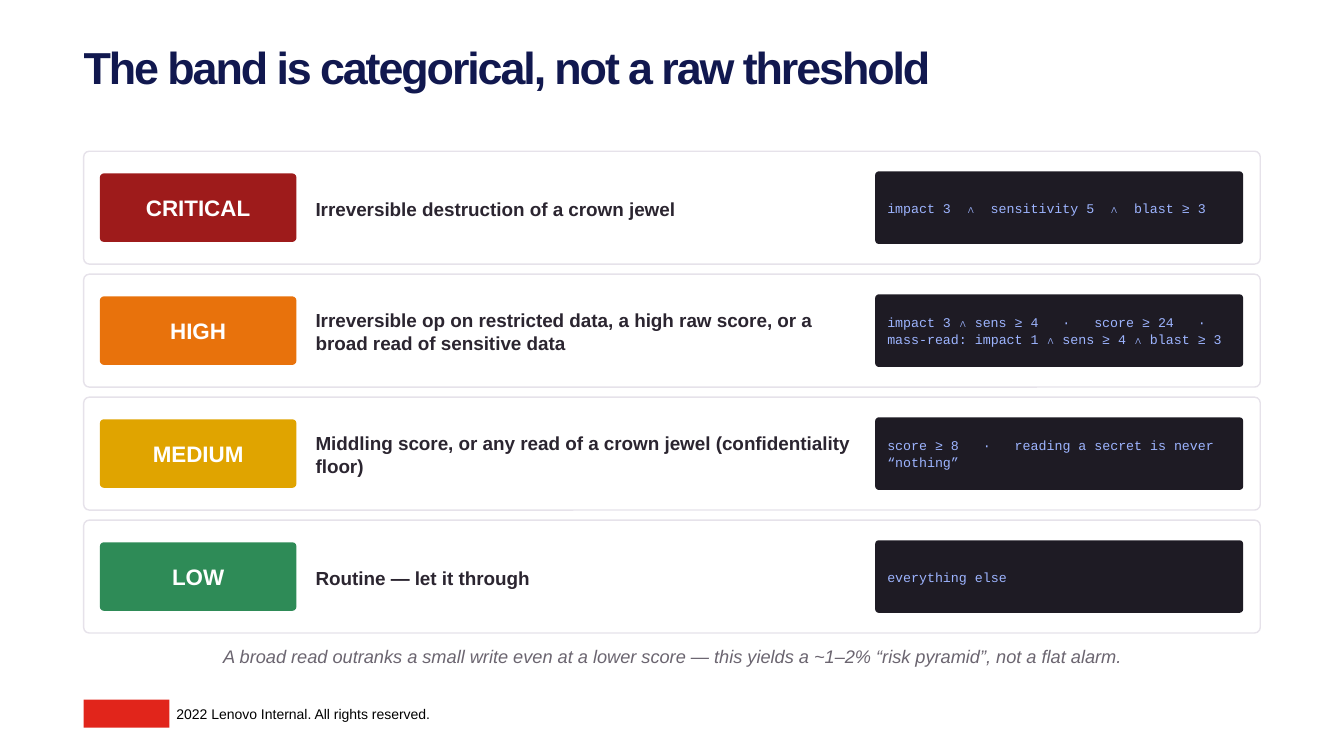
from dataclasses import dataclass

from pptx import Presentation
from pptx.dml.color import RGBColor
from pptx.enum.shapes import MSO_SHAPE
from pptx.enum.text import MSO_ANCHOR, MSO_AUTO_SIZE, PP_ALIGN
from pptx.util import Inches, Pt


@dataclass(frozen=True)
class Theme:
    sans: str = "Arial"
    mono: str = "Courier New"
    navy: str = "11184F"
    ink: str = "2B2530"
    muted: str = "6B6570"
    black: str = "000000"
    white: str = "FFFFFF"
    border: str = "E6E2EA"
    code_fill: str = "1E1B24"
    code_ink: str = "9DB4FF"
    critical: str = "9E1B1B"
    high: str = "E8720C"
    medium: str = "E0A400"
    low: str = "2E8B57"
    mark: str = "E1251B"
    title_size: float = 32
    badge_size: float = 16
    meaning_size: float = 13.5
    takeaway_size: float = 13
    copyright_size: float = 10
    code_size: float = 9.5


THEME = Theme()

BANDS = [
    ("CRITICAL", THEME.critical, "Irreversible destruction of a crown jewel",
     "impact 3  ∧  sensitivity 5  ∧  blast ≥ 3"),
    ("HIGH", THEME.high,
     "Irreversible op on restricted data, a high raw score, or a broad read of sensitive data",
     "impact 3 ∧ sens ≥ 4   ·   score ≥ 24   ·   mass-read: impact 1 ∧ sens ≥ 4 ∧ blast ≥ 3"),
    ("MEDIUM", THEME.medium,
     "Middling score, or any read of a crown jewel (confidentiality floor)",
     "score ≥ 8   ·   reading a secret is never “nothing”"),
    ("LOW", THEME.low, "Routine — let it through", "everything else"),
]


def write(holder, text, size, color, align=PP_ALIGN.LEFT, anchor=MSO_ANCHOR.TOP,
          margins=(0, 0), spacing=None, **font_format):
    frame = holder.text_frame
    frame_format = {
        "word_wrap": True, "auto_size": MSO_AUTO_SIZE.NONE, "vertical_anchor": anchor,
        "margin_left": Inches(margins[0]), "margin_right": Inches(margins[1]),
        "margin_top": 0, "margin_bottom": 0,
    }
    for name, value in frame_format.items():
        setattr(frame, name, value)
    paragraph = frame.paragraphs[0]
    paragraph.alignment = align
    if spacing:
        paragraph.line_spacing = spacing
    run = paragraph.add_run()
    run.text = text
    for name, value in {"name": THEME.sans, "size": Pt(size), **font_format}.items():
        setattr(run.font, name, value)
    run.font.color.rgb = RGBColor.from_string(color)
    return run


def add_text(slide, box, *content, **text_format):
    holder = slide.shapes.add_textbox(*map(Inches, box))
    write(holder, *content, **text_format)


def add_panel(slide, box, fill, corner=None, border=None):
    kind = MSO_SHAPE.RECTANGLE if corner is None else MSO_SHAPE.ROUNDED_RECTANGLE
    panel = slide.shapes.add_shape(kind, *map(Inches, box))
    panel.shadow.inherit = False
    if corner is not None:
        panel.adjustments[0] = corner
    panel.fill.solid()
    panel.fill.fore_color.rgb = RGBColor.from_string(fill)
    if border:
        panel.line.color.rgb = RGBColor.from_string(border)
        panel.line.width = Pt(1)
    else:
        panel.line.fill.background()
    return panel


def place_title(slide, box, text):
    title = slide.shapes.title
    for name, value in zip(("left", "top", "width", "height"), box):
        setattr(title, name, Inches(value))
    run = write(title, text, THEME.title_size, THEME.navy, spacing=0.85, bold=True)
    run.font._element.set("spc", "-150")


def add_band(slide, box, label, color, meaning, rule):
    left, top, width, height = box
    add_panel(slide, box, THEME.white, 0.05, THEME.border)
    badge = add_panel(slide, (left + 0.16, top + 0.22, 1.95, height - 0.44), color, 0.06)
    write(badge, label, THEME.badge_size, THEME.white,
          align=PP_ALIGN.CENTER, anchor=MSO_ANCHOR.MIDDLE, bold=True)
    add_text(slide, (left + 2.3, top + 0.16, 5.4, height - 0.3), meaning,
             THEME.meaning_size, THEME.ink, anchor=MSO_ANCHOR.MIDDLE, bold=True)
    code = add_panel(slide, (left + width - 3.82, top + 0.2, 3.65, height - 0.4),
                     THEME.code_fill, 0.05)
    write(code, rule, THEME.code_size, THEME.code_ink, anchor=MSO_ANCHOR.MIDDLE,
          margins=(0.11, 0.07), spacing=1.02, name=THEME.mono)


def add_bands(slide, box, gap):
    left, top, width, height = box
    band_height = (height - gap * (len(BANDS) - 1)) / len(BANDS)
    for index, band in enumerate(BANDS):
        band_top = top + index * (band_height + gap)
        add_band(slide, (left, band_top, width, band_height), *band)


def add_footer(slide, box, text):
    left, top, width, height = box
    add_panel(slide, (left, top, 0.85, height), THEME.mark)
    add_text(slide, (left + 0.92, top + 0.06, width - 0.92, 0.17), text,
             THEME.copyright_size, THEME.black)


def main():
    deck = Presentation()
    deck.slide_width, deck.slide_height = Inches(13.33), Inches(7.5)
    slide = deck.slides.add_slide(deck.slide_layouts[5])
    left, width = 0.83, 11.67
    place_title(slide, (left, 0.48, width, 0.46),
                "The band is categorical, not a raw threshold")
    add_bands(slide, (left, 1.5, width, 4.78), gap=0.1)
    add_text(slide, (left, 6.4, width, 0.32),
             "A broad read outranks a small write even at a lower score — "
             "this yields a ~1–2% “risk pyramid”, not a flat alarm.",
             THEME.takeaway_size, THEME.muted, align=PP_ALIGN.CENTER, italic=True)
    add_footer(slide, (left, 6.94, 5.42, 0.28),
               "2022 Lenovo Internal. All rights reserved.")
    deck.save("out.pptx")


if __name__ == "__main__":
    main()
